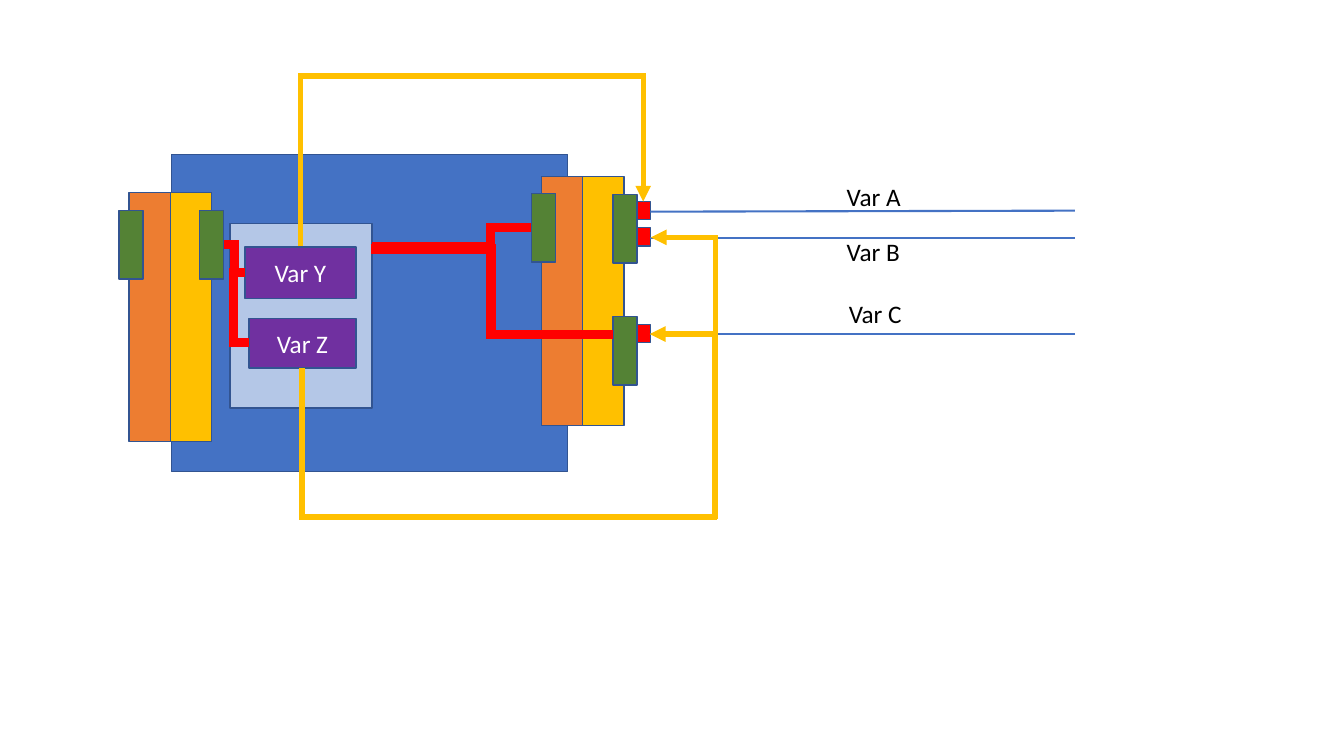
from pptx import Presentation
from pptx.dml.color import RGBColor
from pptx.enum.shapes import MSO_CONNECTOR, MSO_SHAPE
from pptx.enum.text import MSO_ANCHOR, MSO_AUTO_SIZE, PP_ALIGN
from pptx.oxml.ns import qn
from pptx.util import Inches, Pt
from lxml.etree import SubElement

BLUE, ORANGE, GOLD = "4472C4", "ED7D31", "FFC000"
GREEN, RED, PURPLE, PALE = "548235", "FF0000", "7030A0", "B4C7E7"


def rgb(value):
    return RGBColor.from_string(value)


def add_line(kind, begin, end, color, width):
    c = s.shapes.add_connector(kind, *map(Inches, begin + end))
    c.line.color.rgb = rgb(color)
    c.line.width = Pt(width)
    SubElement(c._element.spPr, qn("a:effectLst"))
    return c


prs = Presentation()
prs.slide_width, prs.slide_height = Inches(13.33), Inches(7.5)
s = prs.slides.add_slide(prs.slide_layouts[6])

boxes = [(1.7, 1.53, 3.93, 3.15, BLUE, "")]
for x, y in [(5.37, 1.75), (1.28, 1.91)]:
    boxes += [(x, y, 0.41, 2.47, ORANGE, ""), (x + 0.41, y, 0.41, 2.47, GOLD, "")]
boxes += [
    (2.28, 2.22, 1.41, 1.83, PALE, ""),
    (2.43, 2.45, 1.1, 0.51, PURPLE, "Var Y"),
    (2.47, 3.16, 1.06, 0.49, PURPLE, "Var Z"),
]
for x, y in [(1.18, 2.09), (1.98, 2.09), (5.27, 1.92), (6.08, 1.93), (6.08, 3.14)]:
    boxes.append((x, y, 0.24, 0.68, GREEN, ""))
for y in (2, 2.26, 3.22):
    boxes.append((6.32, y, 0.13, 0.18, RED, ""))

for x, y, w, h, color, text in boxes:
    sp = s.shapes.add_shape(MSO_SHAPE.RECTANGLE, *map(Inches, (x, y, w, h)))
    sp.shadow.inherit = False
    sp.fill.solid()
    sp.fill.fore_color.rgb = rgb(color)
    sp.line.color.rgb = rgb("325491")
    sp.line.width = Pt(1)
    if text:
        tf = sp.text_frame
        tf.vertical_anchor = MSO_ANCHOR.MIDDLE
        p = tf.paragraphs[0]
        p.alignment = PP_ALIGN.CENTER
        r = p.add_run()
        r.text = text
        r.font.size = Pt(18)
        r.font.name = "Calibri"
        r.font.color.rgb = rgb("FFFFFF")

for start_y, end_y in [(2.1, 2.09), (2.36, 2.36), (3.31, 3.31)]:
    add_line(MSO_CONNECTOR.STRAIGHT, (6.45, start_y), (10.66, end_y), BLUE, 1.5)

for x, y, text in [(8.3, 1.75, "Var A"), (8.3, 2.3, "Var B"), (8.32, 2.91, "Var C")]:
    tb = s.shapes.add_textbox(Inches(x), Inches(y), Inches(0.74), Inches(0.4))
    tf = tb.text_frame
    tf.word_wrap = False
    tf.auto_size = MSO_AUTO_SIZE.SHAPE_TO_FIT_TEXT
    r = tf.paragraphs[0].add_run()
    r.text = text
    r.font.size = Pt(18)
    r.font.name = "Calibri"
    r.font.color.rgb = rgb("000000")

elbows = [
    ((3.69, 2.45), (5.27, 2.26), 0, 3, [74300], RED),
    ((4.9, 3.92), (4.46, 0.52), 90, 3, [383000], GOLD),
    ((5.38, 4.07), (8.17, 3.43), 270, 2, [], GOLD),
    ((2.22, 2.43), (2.43, 2.7), 0, 3, [50000], RED),
    ((2.47, 3.4), (2.43, 2.7), 180, 3, [-279300], RED),
    ((4.89, 5.21), (4.55, 1.76), 90, 4, [-433400, 118700], GOLD),
    ((3.68, 2.47), (6.08, 3.32), 0, 3, [49600], RED),
]
for begin, end, angle, bends, adjusts, color in elbows:
    c = add_line(MSO_CONNECTOR.ELBOW, begin, end, color, 3.75 if color == GOLD else 6.5)
    spPr = c._element.spPr
    spPr.find(qn("a:xfrm")).set("rot", str(angle * 60000))
    geom = spPr.find(qn("a:prstGeom"))
    geom.set("prst", f"bentConnector{bends}")
    guides = geom.find(qn("a:avLst"))
    if guides is None:
        guides = SubElement(geom, qn("a:avLst"))
    for i, value in enumerate(adjusts, 1):
        SubElement(guides, qn("a:gd"), name=f"adj{i}", fmla=f"val {value}")
    ln = spPr.find(qn("a:ln"))
    SubElement(ln, qn("a:miter"), lim="800000")
    if color == GOLD:
        SubElement(ln, qn("a:tailEnd"), type="triangle")

prs.save("out.pptx")
